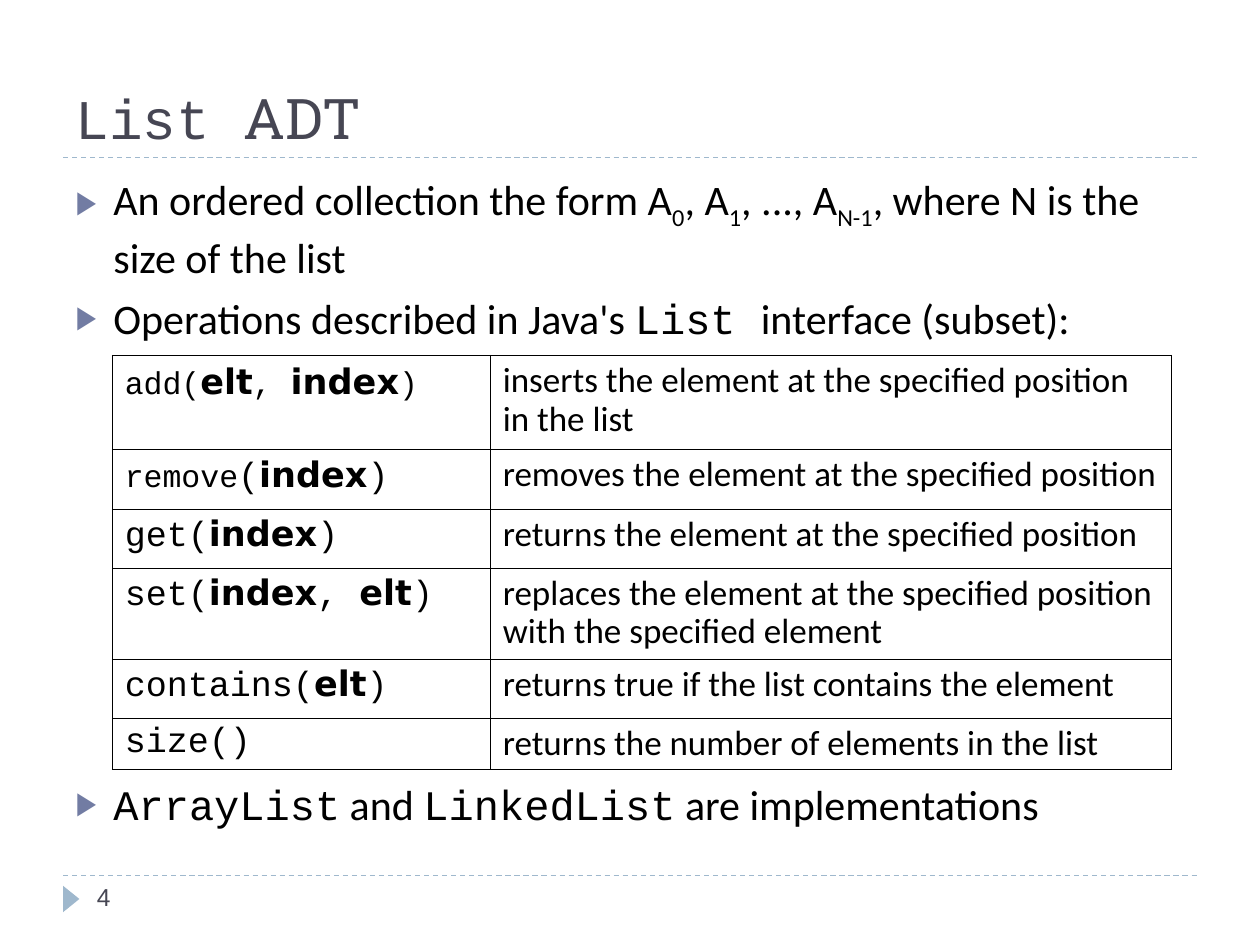
from lxml import etree
from pptx import Presentation
from pptx.dml.color import RGBColor
from pptx.enum import dml, shapes, text
from pptx.oxml import ns
from pptx.util import Inches, Pt

INK, BLACK, PALE, BULLET = "464653", "000000", "9FB8CD", "727CA3"
MONO, SANS, PARAM = "Courier New", "Calibri", "DejaVu Sans"

CODE = {"name": MONO}
SMALL = {"name": MONO, "size": 18}
ARG = {"name": PARAM, "bold": True}
SUB = {"baseline": -25}

TITLE = [("List ", CODE), ("ADT", {"name": "Roboto Slab"})]
# Each bullet: space before in points, then its runs; the last one clears the table
BULLETS = [
    (0, [("An ordered collection the form A", {}), ("0", SUB), (", A", {}),
         ("1", SUB), (", ..., A", {}), ("N-1", SUB),
         (", where N is the size of the list", {})]),
    (6, [("Operations described in Java's ", {}), ("List ", CODE),
         ("interface (subset):", {})]),
    (249, [("ArrayList", CODE), (" and ", {}), ("LinkedList", CODE),
           (" are implementations", {})]),
]
# Row height, operation, description
OPERATIONS = [
    (0.75, [("add(", SMALL), ("elt", ARG), (", ", SMALL), ("index", ARG), (")", SMALL)],
     "inserts the element at the specified position in the list"),
    (0.47, [("remove", SMALL), ("(", CODE), ("index", ARG), (")", CODE)],
     "removes the element at the specified position"),
    (0.47, [("get(", CODE), ("index", ARG), (")", CODE)],
     "returns the element at the specified position"),
    (0.72, [("set(", CODE), ("index", ARG), (", ", CODE), ("elt", ARG), (")", CODE)],
     "replaces the element at the specified position with the specified element"),
    (0.47, [("contains(", CODE), ("elt", ARG), (")", CODE)],
     "returns true if the list contains the element"),
    (0.41, [("size()", CODE)], "returns the number of elements in the list"),
]
COLUMNS = [3, 5.41]


def paint(color_format, color):
    color_format.rgb = RGBColor.from_string(color)


def add_element(parent, tag, **attributes):
    return etree.SubElement(parent, ns.qn(tag), attributes)


def place(shape, left, top, width, height):
    shape.left, shape.top = Inches(left), Inches(top)
    shape.width, shape.height = Inches(width), Inches(height)


def write(para, content, name=SANS, size=20, bold=False, color=BLACK, baseline=0):
    span = para.add_run()
    span.text = content
    span.font.name, span.font.size, span.font.bold = name, Pt(size), bold
    paint(span.font.color, color)
    if baseline:
        span.font._element.set("baseline", str(baseline * 1000))


def write_runs(para, runs, **defaults):
    for content, style in runs:
        write(para, content, **{**defaults, **style})


def add_bullet(para):
    properties = para._p.get_or_add_pPr()
    properties.set("marL", str(Inches(0.3)))
    properties.set("indent", str(-Inches(0.3)))
    color = add_element(properties, "a:buClr")
    add_element(color, "a:srgbClr", val=BULLET)
    add_element(properties, "a:buSzPct", val="76000")
    add_element(properties, "a:buFont", typeface="Arial")
    add_element(properties, "a:buChar", char="▶")


def add_rule(page, y):
    rule = page.shapes.add_connector(
        shapes.MSO_CONNECTOR.STRAIGHT, Inches(0.5), Inches(y), Inches(9.5), Inches(y))
    paint(rule.line.color, PALE)
    rule.line.width = Pt(0.75)
    rule.line.dash_style = dml.MSO_LINE.DASH
    add_element(rule._element.spPr, "a:effectLst")


def format_cell(cell):
    """Give the cell thin black borders and no fill."""
    properties = cell._tc.get_or_add_tcPr()
    for side in ("a:lnL", "a:lnR", "a:lnT", "a:lnB"):
        border = add_element(properties, side, w=str(Pt(0.45)))
        add_element(add_element(border, "a:solidFill"), "a:srgbClr", val=BLACK)
    cell.fill.background()


def add_operations(page):
    heights = [row[0] for row in OPERATIONS]
    frame = page.shapes.add_table(
        len(OPERATIONS), len(COLUMNS), Inches(0.89), Inches(2.82),
        Inches(sum(COLUMNS)), Inches(sum(heights)))
    table = frame.table
    table.first_row = table.horz_banding = False
    for column, width in zip(table.columns, COLUMNS):
        column.width = Inches(width)
    for r, (height, operation, description) in enumerate(OPERATIONS):
        table.rows[r].height = Inches(height)
        for c, runs in enumerate((operation, [(description, {})])):
            cell = table.cell(r, c)
            format_cell(cell)
            para = cell.text_frame.paragraphs[0]
            if (r, c) != (0, 0):
                para.line_spacing = 0.9
            write_runs(para, runs)


def main():
    deck = Presentation()
    deck.slide_width, deck.slide_height = Inches(10), Inches(7.5)
    page = deck.slides.add_slide(deck.slide_layouts[1])

    title, body = page.placeholders
    place(title, 0.5, 0.17, 9, 1.08)
    title.text_frame.auto_size = text.MSO_AUTO_SIZE.NONE
    title.text_frame.vertical_anchor = text.MSO_ANCHOR.BOTTOM
    heading = title.text_frame.paragraphs[0]
    heading.alignment = text.PP_ALIGN.LEFT
    write_runs(heading, TITLE, size=32, color=INK)

    place(body, 0.5, 1.33, 9, 5.4)
    frame = body.text_frame
    frame.auto_size = text.MSO_AUTO_SIZE.NONE
    for i, (space, runs) in enumerate(BULLETS):
        para = frame.add_paragraph() if i else frame.paragraphs[0]
        para.space_before = Pt(space)
        add_bullet(para)
        write_runs(para, runs, size=24)

    for y in (1.25, 6.95):
        add_rule(page, y)
    marker = page.shapes.add_shape(
        shapes.MSO_SHAPE.ISOSCELES_TRIANGLE,
        Inches(0.46), Inches(7.07), Inches(0.21), Inches(0.13))
    marker.rotation = 90
    marker.shadow.inherit = False
    marker.fill.solid()
    paint(marker.fill.fore_color, PALE)
    marker.line.fill.background()

    number = page.shapes.add_textbox(
        Inches(0.67), Inches(6.95), Inches(2.17), Inches(0.4))
    number.text_frame.word_wrap = True
    write(number.text_frame.paragraphs[0], "4", name="Arial", size=14, color=INK)

    add_operations(page)
    deck.save("out.pptx")


if __name__ == "__main__":
    main()
